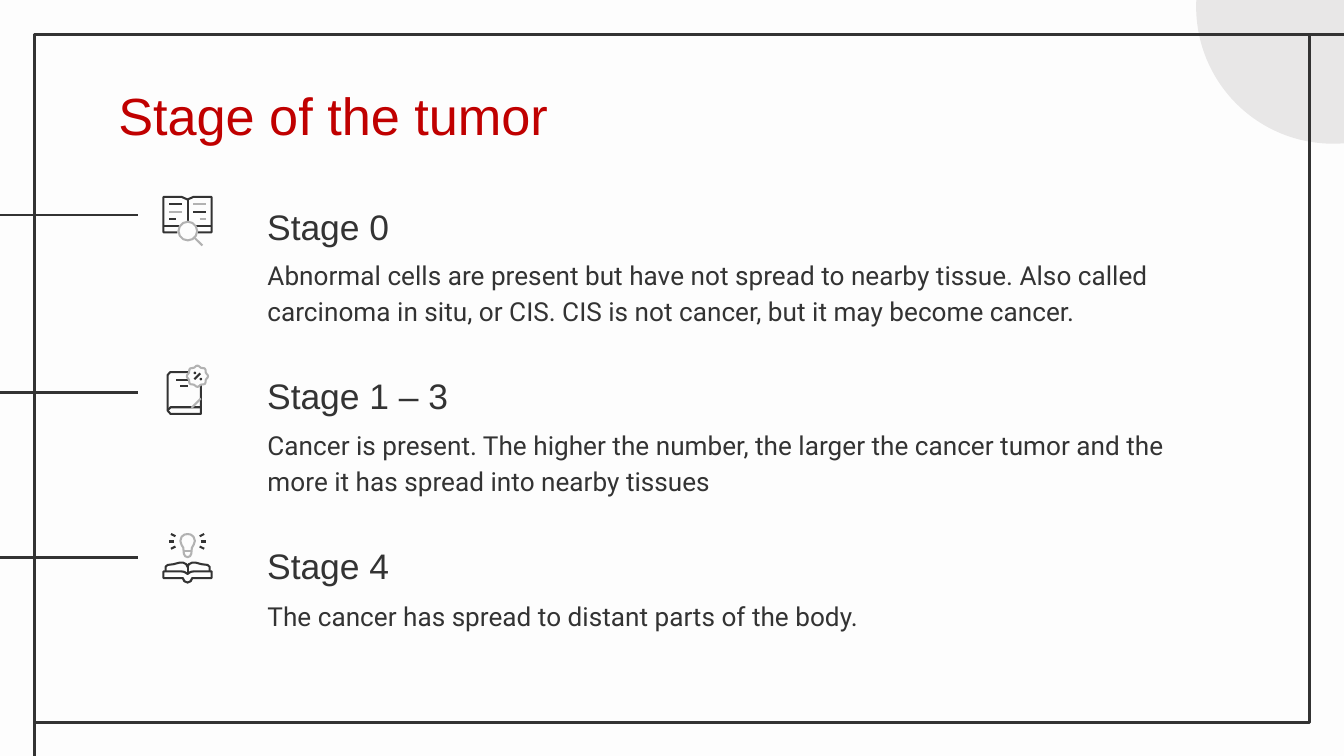
import math

from lxml import etree
from pptx import Presentation
from pptx.dml.color import RGBColor
from pptx.enum.shapes import MSO_CONNECTOR, MSO_SHAPE
from pptx.enum.text import MSO_ANCHOR, MSO_AUTO_SIZE, PP_ALIGN
from pptx.oxml.ns import qn
from pptx.util import Pt

OVAL, RECT, STRAIGHT = MSO_SHAPE.OVAL, MSO_SHAPE.RECTANGLE, MSO_CONNECTOR.STRAIGHT
TOP, BOTTOM, LEFT = MSO_ANCHOR.TOP, MSO_ANCHOR.BOTTOM, PP_ALIGN.LEFT
NO_AUTOFIT = MSO_AUTO_SIZE.NONE

INK, GRAY, RED, PALE, PAPER = "333333", "B2B2B2", "C00000", "E8E7E7", "FDFDFD"
ICON = 27
STAGES = [
    ("Stage 0", "Abnormal cells are present but have not spread to nearby tissue. "
     "Also called carcinoma in situ, or CIS. CIS is not cancer, but it may become cancer."),
    ("Stage 1 – 3", "Cancer is present. The higher the number, the larger the cancer "
     "tumor and the more it has spread into nearby tissues"),
    ("Stage 4", "The cancer has spread to distant parts of the body."),
]


def rgb(color):
    return RGBColor.from_string(color)


def mirror(points):
    """Reflect points across the icon's vertical axis, in reverse order."""
    return [(ICON - x, y) for x, y in reversed(points)]


class Deck:
    def __init__(self, s):
        self.s = s
        self.x = self.y = 0
        self.width = 1.5

    def move_to(self, x, y, width):
        """Set the origin and stroke width of the shapes that follow."""
        self.x, self.y, self.width = x, y, width

    def at(self, x, y):
        return Pt(self.x + x), Pt(self.y + y)

    def paint(self, sp, fill, line):
        sp.shadow.inherit = False
        if fill:
            sp.fill.solid()
            sp.fill.fore_color.rgb = rgb(fill)
        else:
            sp.fill.background()
        if line:
            sp.line.color.rgb = rgb(line)
            sp.line.width = Pt(self.width)
        else:
            sp.line.fill.background()

    def shape(self, kind, x, y, w, h, fill=None, line=None):
        sp = self.s.shapes.add_shape(kind, *self.at(x, y), Pt(w), Pt(h))
        self.paint(sp, fill, line)

    def circle(self, cx, cy, r, fill=None, line=None):
        self.shape(OVAL, cx - r, cy - r, 2 * r, 2 * r, fill, line)

    def line(self, x1, y1, x2, y2, color=INK):
        cx = self.s.shapes.add_connector(STRAIGHT, *self.at(x1, y1), *self.at(x2, y2))
        cx.line.color.rgb = rgb(color)
        cx.line.width = Pt(self.width)
        etree.SubElement(cx._element.spPr, qn("a:effectLst"))

    def outline(self, points, color=INK, close=False):
        vertices = [self.at(x, y) for x, y in points]
        fb = self.s.shapes.build_freeform(*vertices[0])
        fb.add_line_segments(vertices[1:], close=close)
        self.paint(fb.convert_to_shape(), None, color)

    def text(self, sp, box, text, size, font, color=INK, anchor=TOP, spacing=1.15):
        sp.left, sp.top, sp.width, sp.height = [Pt(v) for v in box]
        tf = sp.text_frame
        tf.word_wrap = True
        tf.auto_size = NO_AUTOFIT
        tf.vertical_anchor = anchor
        tf.margin_left = tf.margin_right = tf.margin_top = tf.margin_bottom = Pt(7.2)
        tf.text = text
        p = tf.paragraphs[0]
        pPr = p._p.get_or_add_pPr()
        pPr.set("marL", "0")
        pPr.set("indent", "0")
        etree.SubElement(pPr, qn("a:buNone"))
        p.alignment = LEFT
        p.line_spacing = spacing
        p.space_before = Pt(0)
        f = p.runs[0].font
        f.size, f.name, f.bold = Pt(size), font, False
        f.color.rgb = rgb(color)


def open_book_with_magnifier(d):
    left = [(8, 19.6), (0.6, 19.6), (0.6, 0.6), (10.3, 0.6), (13.5, 2)]
    d.outline(left + mirror(left)[1:])
    d.line(0.6, 16.4, 8.8, 16.4)
    d.line(18.2, 16.4, 26.4, 16.4)
    d.line(13.5, 2, 13.5, 14)
    for y, short, left_color, right_color in [
            (4.6, 0, INK, GRAY), (8.5, 0, GRAY, INK), (12.3, 3.4, INK, GRAY)]:
        d.line(3.8, y, 10.5 - short, y, left_color)
        d.line(16.5 + short, y, 23.2, y, right_color)
    d.circle(13.6, 18.9, 5, line=GRAY)
    d.line(17.3, 22.6, 21.4, 26.6, GRAY)


def book_with_badge(d):
    d.outline([(14.5, 4.2), (4.2, 4.2), (2.8, 5.8), (2.8, 24.8), (4.4, 26.6),
               (20.6, 26.6), (20.6, 10.8)])
    d.outline([(2.8, 24.6), (4.4, 23), (20.6, 23)])
    d.line(15.6, 23.3, 20.6, 18.3, GRAY)
    d.line(7.4, 8.6, 15, 8.6)
    d.line(9.6, 11.8, 13.8, 11.8)
    badge = []
    for step in range(48):
        a = math.tau * step / 48
        r = 5.3 + 0.4 * math.cos(8 * a)
        badge.append((18.8 + r * math.cos(a), 6.4 + r * math.sin(a)))
    d.outline(badge, GRAY, close=True)
    d.line(17.1, 8, 20.3, 4.8)
    d.circle(17.4, 4.6, 0.7, fill=INK)
    d.circle(20.6, 7.9, 0.7, fill=INK)


def open_book_with_bulb(d):
    cover = [(13.5, 22), (11.8, 20.9), (10, 20.6), (0.6, 20.6), (0.6, 24.2), (11, 24.2),
             (11.8, 25.9), (13.5, 26.6)]
    d.outline(cover + mirror(cover)[1:-1], close=True)
    page = [(1.7, 20.6), (1.7, 18.2), (2.8, 17.2), (6, 16.8), (9, 16), (11, 15.9),
            (12.8, 16.8), (13.5, 18.3)]
    d.outline(page + mirror(page)[1:])
    d.line(13.5, 18.3, 13.5, 22)
    bulb = [(13.5, 0.6), (11.8, 0.9), (10.3, 2.1), (9.6, 4.3), (10.2, 6.3), (11.2, 8),
            (11.5, 11.1), (12.2, 12.5), (13.5, 13)]
    d.outline(bulb + mirror(bulb)[1:-1], GRAY, close=True)
    d.line(11.5, 9.9, 15.5, 9.9, GRAY)
    for ray in [[(4.6, 0.6), (7, 1.8)], [(3.7, 4.6), (6.4, 4.6)], [(4.6, 8.5), (7, 7.3)]]:
        for (x1, y1), (x2, y2) in (ray, mirror(ray)):
            d.line(x1, y1, x2, y2)


def main():
    prs = Presentation()
    prs.slide_width, prs.slide_height = Pt(720), Pt(405)
    s = prs.slides.add_slide(prs.slide_layouts[4])
    s.background.fill.solid()
    s.background.fill.fore_color.rgb = rgb(PAPER)
    title, *bodies = list(s.placeholders)
    for spare in bodies[len(STAGES):]:
        spare._element.getparent().remove(spare._element)

    d = Deck(s)
    d.circle(714.2, 3.6, 73.4, fill=PALE)
    for y in (115.2, 210.2, 298.6):
        d.line(0, y, 74, y)
    d.shape(RECT, 18.3, 18.3, 683.2, 368.6, line=INK)
    d.line(701.5, 18.3, 720, 18.3)
    d.line(18.6, 387, 18.6, 405)

    d.text(title, (56.2, 37.5, 607, 45.4), "Stage of the tumor", 28, "Arial", RED, spacing=1)
    icons = (open_book_with_magnifier, book_with_badge, open_book_with_bulb)
    for i, ((heading, detail), body, icon) in enumerate(zip(STAGES, bodies, icons)):
        d.text(body, (136.1, 129 + 91.4 * i, 520.6, 41.8), detail, 14, "Roboto")
        tb = s.shapes.add_textbox(0, 0, 0, 0)
        d.text(tb, (136.1, 98 + 90.8 * i, 520.6, 41.8), heading, 19, "Arial", anchor=BOTTOM)
        d.move_to(87, 104.9 + 90.3 * i, 1.1)
        icon(d)
        d.move_to(0, 0, 1.5)
    prs.save("out.pptx")


if __name__ == "__main__":
    main()
